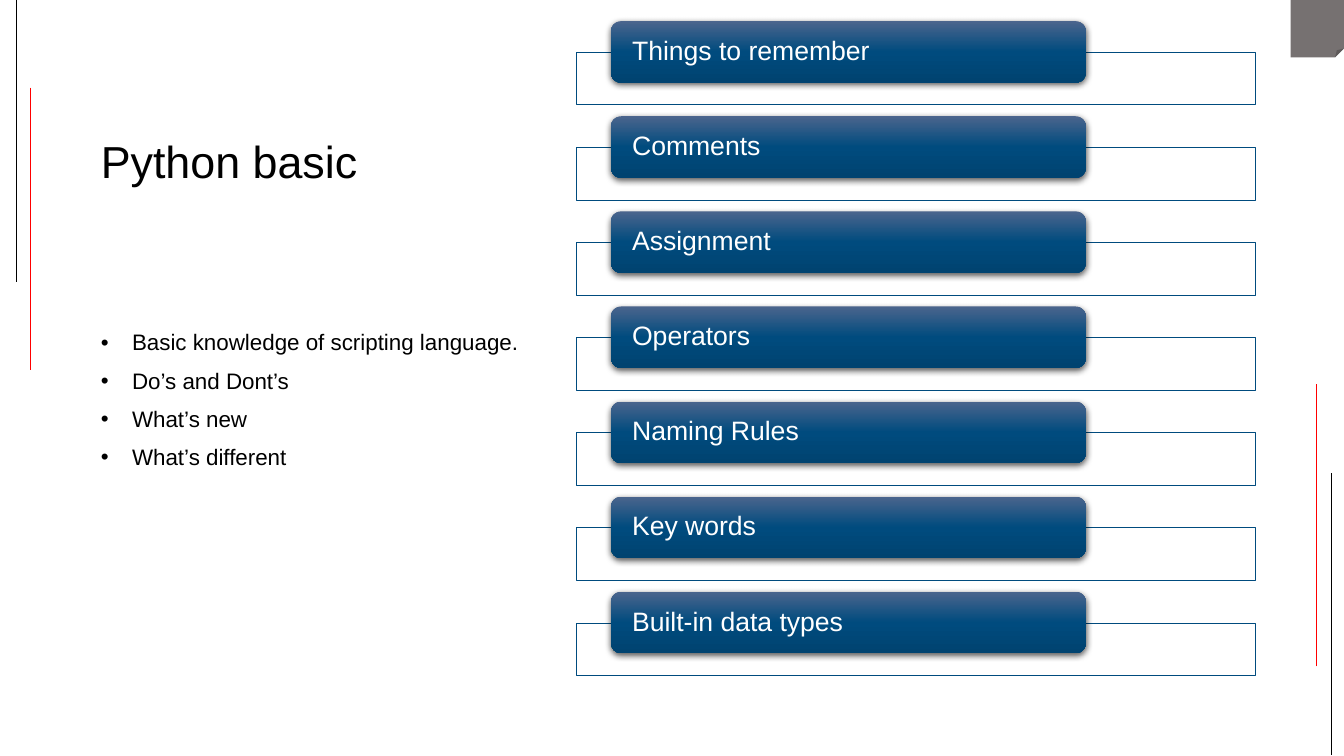
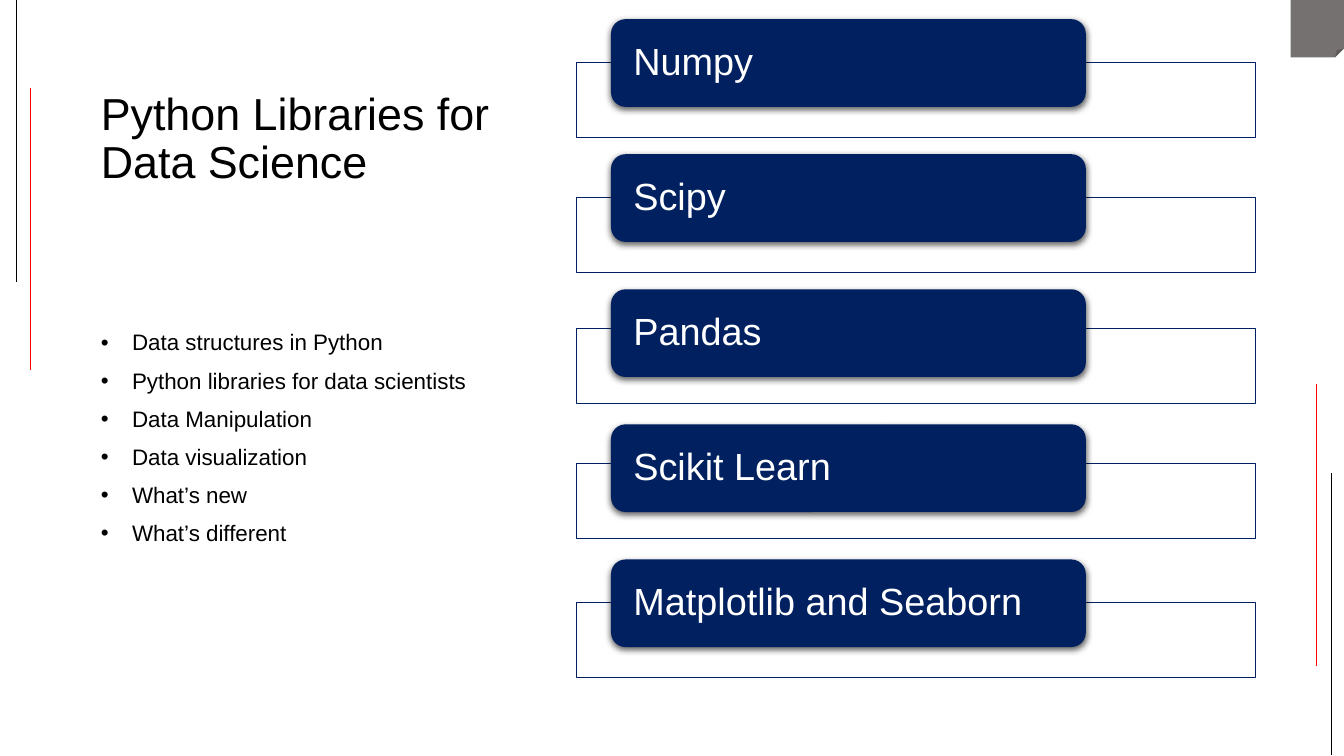
from copy import deepcopy

from lxml.etree import SubElement
from pptx import Presentation
from pptx.dml.color import RGBColor
from pptx.enum.shapes import MSO_CONNECTOR as Connector, MSO_SHAPE as Shape
from pptx.enum.text import MSO_ANCHOR as Anchor, MSO_AUTO_SIZE as AutoSize, PP_ALIGN as Align
from pptx.oxml.ns import qn
from pptx.util import Inches, Pt

FONT = "Arial"
BLACK, WHITE, RED, GREY = "000000", "FFFFFF", "FF0000", "767171"
BLUE, NAVY = "004B7E", "002060"
BLUE_GRADIENT = [(0, "4B658D"), (0.5, BLUE), (1, "004370")]
SIDE_LINES = [
    (0.16, 0, 2.8, BLACK),
    (0.3, 0.87, 3.67, RED),
    (13.2, 7.49, 4.69, BLACK),
    (13.06, 6.61, 3.81, RED),
]


def rgb(color):
    return RGBColor.from_string(color)


class Deck:
    """Holds the shared style and the slide being built."""

    def __init__(self):
        self.prs = Presentation()
        self.prs.slide_width, self.prs.slide_height = Inches(13.33), Inches(7.5)
        self.layout = self.prs.slide_layouts[1]
        self.slide = None

    def new_slide(self, title, topics):
        first = self.slide is None
        self.slide = self.prs.slides.add_slide(self.layout)
        if first:
            self.decorate_layout()
        self.title(title)
        self.topics(topics)

    def decorate_layout(self):
        """Draw the corner and side lines and move them to the layout."""
        corner = self.shape(Shape.FOLDED_CORNER, 12.8, 0, 0.53, 0.57)
        self.solid(corner, GREY)
        corner.line.fill.background()
        decorations = [corner] + [self.side_line(*line) for line in SIDE_LINES]
        for number, decoration in enumerate(decorations, 101):
            decoration.element.xpath("./*/p:cNvPr")[0].set("id", str(number))
            self.layout.shapes.element.append(decoration.element)

    def side_line(self, x, start, end, color):
        line = self.slide.shapes.add_connector(
            Connector.STRAIGHT, Inches(x), Inches(start), Inches(x), Inches(end))
        line.line.color.rgb = rgb(color)
        line.line.width = Pt(0.5)
        SubElement(line.element.spPr, qn("a:effectLst"))
        return line

    def shape(self, kind, left, top, width, height):
        shape = self.slide.shapes.add_shape(
            kind, Inches(left), Inches(top), Inches(width), Inches(height))
        shape.shadow.inherit = False
        return shape

    def solid(self, shape, color):
        shape.fill.solid()
        shape.fill.fore_color.rgb = rgb(color)

    def gradient(self, shape, stops):
        shape.fill.gradient()
        shape.fill.gradient_angle = 270
        stop_list = shape.element.spPr.find(".//" + qn("a:gsLst"))
        stop_list.append(deepcopy(stop_list[0]))
        for stop, (position, color) in zip(shape.fill.gradient_stops, stops):
            stop.position = position
            stop.color.rgb = rgb(color)

    def drop_shadow(self, shape):
        effects = shape.element.spPr.find(qn("a:effectLst"))
        shadow = SubElement(effects, qn("a:outerShdw"), blurRad=str(Pt(4.5)),
                            dist=str(Pt(1.5)), dir="5400000", rotWithShape="0")
        color = SubElement(shadow, qn("a:srgbClr"), val=BLACK)
        SubElement(color, qn("a:alpha"), val="63000")

    def format_text(self, frame, size, color):
        frame.word_wrap = True
        frame.auto_size = AutoSize.NONE
        for paragraph in frame.paragraphs:
            paragraph.alignment = Align.LEFT
            paragraph.line_spacing = 0.9
            for run in paragraph.runs:
                run.font.name, run.font.size = FONT, Pt(size)
                run.font.color.rgb = rgb(color)

    def place(self, placeholder, top, height):
        placeholder.left, placeholder.top = Inches(0.9), Inches(top)
        placeholder.width, placeholder.height = Inches(4.5), Inches(height)

    def title(self, text):
        title = self.slide.shapes.title
        self.place(title, 0.15, 1.77)
        title.text_frame.text = text
        title.text_frame.vertical_anchor = Anchor.BOTTOM
        self.format_text(title.text_frame, 32, BLACK)

    def topics(self, topics):
        body = self.slide.placeholders[1]
        self.place(body, 3.24, 3.54)
        body.text_frame.text = "\n".join(topics)
        self.format_text(body.text_frame, 16, BLACK)
        for paragraph in body.text_frame.paragraphs:
            paragraph.space_before = Pt(10)
            properties = paragraph._p.get_or_add_pPr()
            properties.set("marL", str(Inches(0.31)))
            properties.set("indent", str(-Inches(0.31)))
            SubElement(properties, qn("a:buChar"), char="•")

    def frame(self, top, height, color, filled):
        frame = self.shape(Shape.RECTANGLE, 5.72, top, 6.73, height)
        frame.line.color.rgb = rgb(color)
        frame.line.width = Pt(0.5)
        if filled:
            self.solid(frame, WHITE)
            fill_color = frame.element.spPr.find(qn("a:solidFill"))[0]
            SubElement(fill_color, qn("a:alpha"), val="90000")
        else:
            frame.fill.background()

    def label(self, text, top, height, size, color, stops):
        label = self.shape(Shape.ROUNDED_RECTANGLE, 6.06, top, 4.71, height)
        if stops:
            self.gradient(label, stops)
        else:
            self.solid(label, color)
        label.line.fill.background()
        self.drop_shadow(label)
        content = label.text_frame
        content.text = text
        content.margin_left = content.margin_right = Inches(0.18)
        content.margin_top = content.margin_bottom = 0
        content.vertical_anchor = Anchor.MIDDLE
        self.format_text(content, size, WHITE)

    def labelled_frames(self, drops, first, last, label_height, frame_height,
                        size, color, stops=None):
        """Stack evenly spaced labels, each with a frame some way below its top."""
        pitch = (last - first) / (len(drops) - 1)
        for index, (text, drop) in enumerate(drops.items()):
            top = first + index * pitch
            self.frame(top + drop, frame_height, color, filled=bool(stops))
            self.label(text, top, label_height, size, color, stops)


def main():
    deck = Deck()

    deck.new_slide("Python basic", [
        "Basic knowledge of scripting language.", "Do’s and Dont’s",
        "What’s new", "What’s different"])
    basics = ["Things to remember", "Comments", "Assignment", "Operators",
              "Naming Rules", "Key words", "Built-in data types"]
    deck.labelled_frames(dict.fromkeys(basics, 0.31), 0.21, 5.87, 0.61, 0.52,
                         19, BLUE, BLUE_GRADIENT)

    deck.new_slide("Python Libraries for Data Science", [
        "Data structures in Python", "Python libraries for data scientists",
        "Data Manipulation", "Data visualization", "What’s new", "What’s different"])
    libraries = {"Numpy": 0.43, "Scipy": 0.43, "Pandas": 0.39,
                 "Scikit Learn": 0.39, "Matplotlib and Seaborn": 0.43}
    deck.labelled_frames(libraries, 0.19, 5.55, 0.87, 0.74, 27, NAVY)

    deck.prs.save("out.pptx")


if __name__ == "__main__":
    main()
